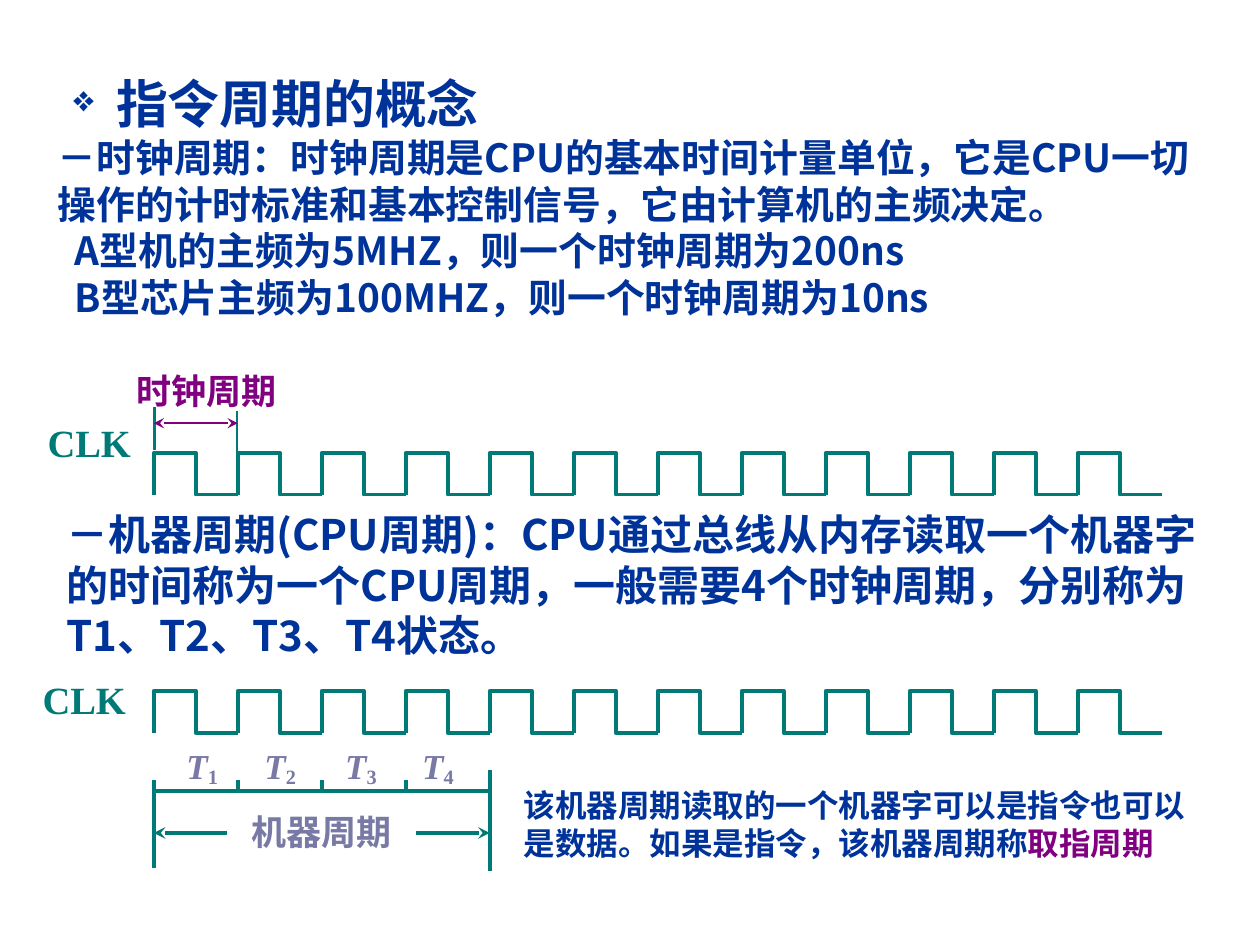
from lxml import etree
from pptx import Presentation
from pptx import util as u
from pptx.dml.color import RGBColor
from pptx.enum import shapes, text
from pptx.oxml import ns

NAVY = RGBColor(0x00, 0x33, 0x99)
TEAL = RGBColor(0x00, 0x7A, 0x77)
PURPLE = RGBColor(0x80, 0x00, 0x80)
LAVENDER = RGBColor(0x79, 0x79, 0xA5)
SANS, CJK, SERIF = "Arial", "Noto Sans CJK SC", "Times New Roman"

HEADING = {"size": 29.6, "name": SANS, "color": NAVY}
BODY = {"size": 22.2, "name": CJK, "color": NAVY}
BODY_ARIAL = {**BODY, "name": SANS}
MACHINE = {**BODY, "size": 24}
NOTE = {"size": 18, "name": SANS, "color": NAVY}
CLOCK = {"size": 22, "name": SERIF, "color": TEAL}
CYCLE = {"size": 20, "name": SERIF, "color": LAVENDER}
STATE = {**CYCLE, "italic": True}
STATE_NUMBER = {**CYCLE, "baseline": -15000}

CONCEPT = [
    {"runs": [("指令周期的概念", HEADING)], "left": 1.18, "indent": -0.86, "bullet": "❖"},
    {"runs": [
        ("－时钟周期：", BODY_ARIAL),
        ("时钟周期是CPU的基本时间计量单位，", BODY),
        ("它是", BODY_ARIAL),
        ("CPU", BODY),
        ("一切操作的计时标准和基本控制信号", BODY_ARIAL),
        ("，它由计算机的主频决定。", BODY),
    ]},
    {"runs": [("A型机的主频为5MHZ，则一个时钟周期为200ns", BODY)], "indent": 0.35},
    {"runs": [("B型芯片主频为100MHZ，则一个时钟周期为10ns", BODY)], "indent": 0.35},
]
MACHINE_CYCLE = "－机器周期(CPU周期)：CPU通过总线从内存读取一个机器字的时间称为一个CPU周期，一般需要4个时钟周期，分别称为T1、T2、T3、T4状态。"
FETCH_NOTE = [
    ("该机器周期读取的一个机器字可以是指令也可以是数据。如果是指令，该机器周期称", NOTE),
    ("取指周期", {**NOTE, "color": PURPLE}),
]

TEXTS = [
    ((0.91, 1.32, 23.72, 6.6), True, CONCEPT),
    ((1.09, 10.13, 23.39, 3.3), True, [{"runs": [(MACHINE_CYCLE, MACHINE)]}]),
    ((10.31, 15.72, 14, 1.78), True, [{"runs": FETCH_NOTE}]),
    ((2.5, 7.32, 3.61, 1.12), True, [{"runs": [("时钟周期", {**CYCLE, "color": PURPLE})]}]),
    ((4.82, 16.21, 3.48, 1.12), False, [{"runs": [("机器周期", CYCLE)]}]),
    ((0.71, 8.33, 2.18, 1.19), False, [{"runs": [("CLK", CLOCK)]}]),
    ((0.61, 13.51, 2.18, 1.19), False, [{"runs": [("CLK", CLOCK)]}]),
]
STATE_LEFTS = [3.51, 5.08, 6.71, 8.26]
for number, left in enumerate(STATE_LEFTS, 1):
    TEXTS.append(((left, 14.88, 1.14, 1.14), False,
                  [{"runs": [("T", STATE), (str(number), STATE_NUMBER)]}]))

WAVE_LEFT, WAVE_WIDTH, PULSES, PULSE_HEIGHT = 3.1, 20.32, 12, 0.84
PERIOD = WAVE_WIDTH / PULSES
WAVE_TOPS = [9.13, 13.93]
MACHINE_END = WAVE_LEFT + 4 * PERIOD

LINES = [
    ((WAVE_LEFT, 15.94), (MACHINE_END, 15.94), TEAL, 2.25, ()),
    ((MACHINE_END, 15.52), (MACHINE_END, 17.55), TEAL, 2.25, ()),
    ((WAVE_LEFT, 15.72), (WAVE_LEFT, 17.5), TEAL, 2.25, ()),
    ((4.57, 16.79), (WAVE_LEFT, 16.79), TEAL, 2.25, ("tailEnd",)),
    ((8.38, 16.79), (MACHINE_END, 16.79), TEAL, 2.25, ("tailEnd",)),
    ((3.12, 8.2), (3.12, 9.07), TEAL, 1.5, ()),
    ((4.78, 8.28), (4.78, 9.13), TEAL, 1.5, ()),
    ((WAVE_LEFT, 8.53), (WAVE_LEFT + PERIOD, 8.53), PURPLE, 1.5, ("headEnd", "tailEnd")),
]
for tick in range(1, 4):
    x = WAVE_LEFT + tick * PERIOD
    LINES.append(((x, 15.72), (x, 15.94), TEAL, 2.25, ()))


def add_run(paragraph, words, style):
    run = paragraph.add_run()
    run.text = words
    settings = {"size": u.Pt(style["size"]), "name": style["name"],
                "bold": True, "italic": style.get("italic", False)}
    for key, value in settings.items():
        setattr(run.font, key, value)
    run.font.color.rgb = style["color"]
    properties = run.font._element
    etree.SubElement(properties, ns.qn("a:ea")).set("typeface", CJK)
    if "baseline" in style:
        properties.set("baseline", str(style["baseline"]))


def add_text(slide, place, wrap, paragraphs):
    frame = slide.shapes.add_textbox(*map(u.Cm, place)).text_frame
    frame.word_wrap = wrap
    frame.auto_size = text.MSO_AUTO_SIZE.NONE if paragraphs is CONCEPT else text.MSO_AUTO_SIZE.SHAPE_TO_FIT_TEXT
    for index, content in enumerate(paragraphs):
        paragraph = frame.add_paragraph() if index else frame.paragraphs[0]
        properties = paragraph._p.get_or_add_pPr()
        properties.set("marL", str(u.Cm(content.get("left", 0))))
        properties.set("indent", str(u.Cm(content.get("indent", 0))))
        if "bullet" in content:
            color = etree.SubElement(properties, ns.qn("a:buClr"))
            etree.SubElement(color, ns.qn("a:srgbClr")).set("val", str(NAVY))
            etree.SubElement(properties, ns.qn("a:buSzPct")).set("val", "70000")
            etree.SubElement(properties, ns.qn("a:buChar")).set("char", content["bullet"])
        for words, style in content["runs"]:
            add_run(paragraph, words, style)


def add_line(slide, start, end, color, width, arrows):
    line = slide.shapes.add_connector(shapes.MSO_CONNECTOR.STRAIGHT, *map(u.Cm, start + end))
    line.line.color.rgb = color
    line.line.width = u.Pt(width)
    for arrow in arrows:
        etree.SubElement(line.line._get_or_add_ln(), ns.qn("a:" + arrow)).set("type", "stealth")
    etree.SubElement(line._element.spPr, ns.qn("a:effectLst"))


def add_pulse(slide, left, top):
    middle, right, bottom = left + PERIOD / 2, left + PERIOD, top + PULSE_HEIGHT
    corners = [(left, bottom), (left, top), (middle, top), (middle, bottom), (right, bottom)]
    points = [(u.Cm(x), u.Cm(y)) for x, y in corners]
    builder = slide.shapes.build_freeform(*points[0])
    builder.add_line_segments(points[1:], close=False)
    pulse = builder.convert_to_shape()
    pulse.shadow.inherit = False
    pulse.fill.background()
    pulse.line.color.rgb = TEAL
    pulse.line.width = u.Pt(2.25)


def main():
    deck = Presentation()
    deck.slide_width, deck.slide_height = u.Cm(25.4), u.Cm(19.05)
    slide = deck.slides.add_slide(deck.slide_layouts[6])
    for place, wrap, paragraphs in TEXTS:
        add_text(slide, place, wrap, paragraphs)
    for top in WAVE_TOPS:
        for pulse in range(PULSES):
            add_pulse(slide, WAVE_LEFT + pulse * PERIOD, top)
    for line in LINES:
        add_line(slide, *line)
    deck.save("out.pptx")


if __name__ == "__main__":
    main()
